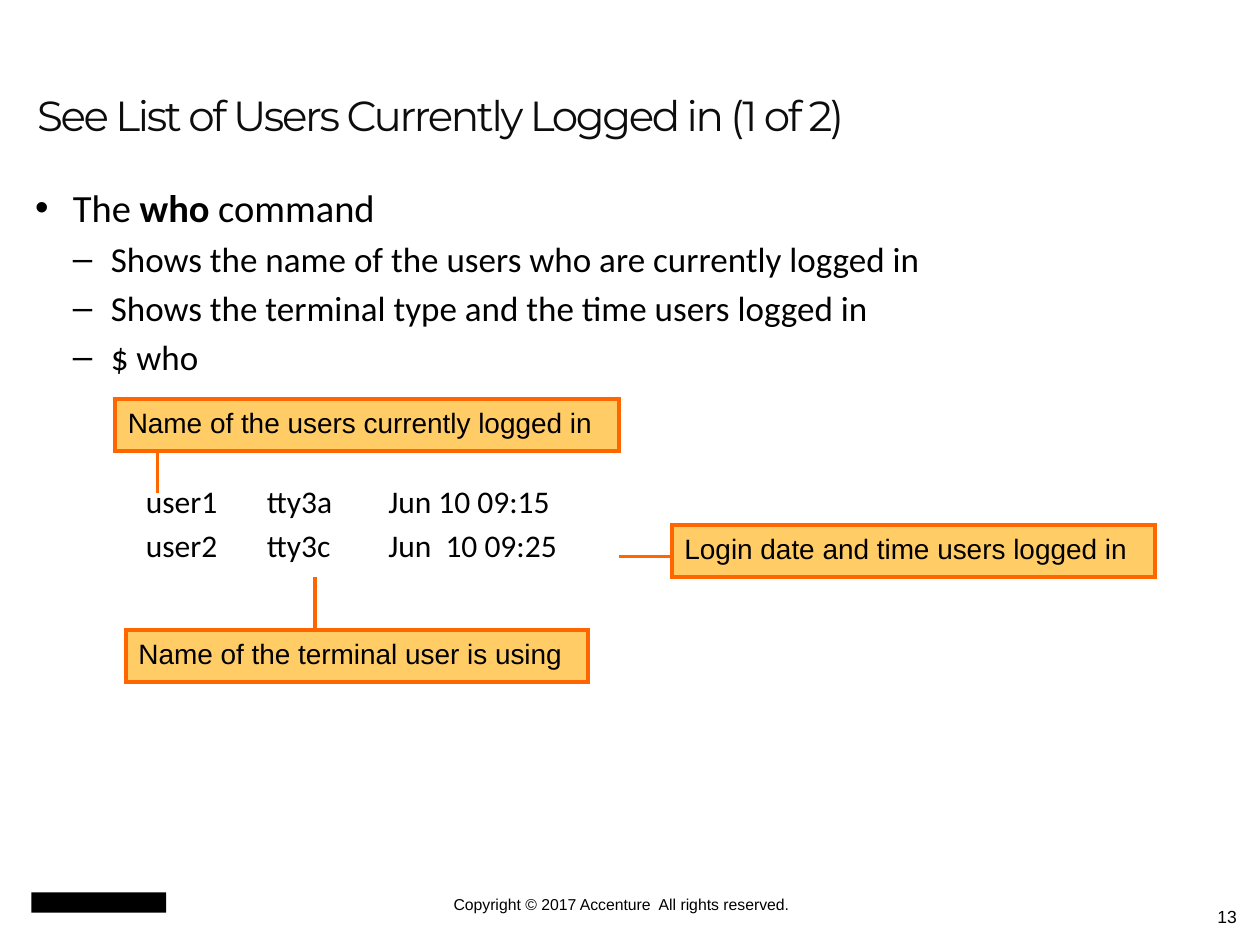
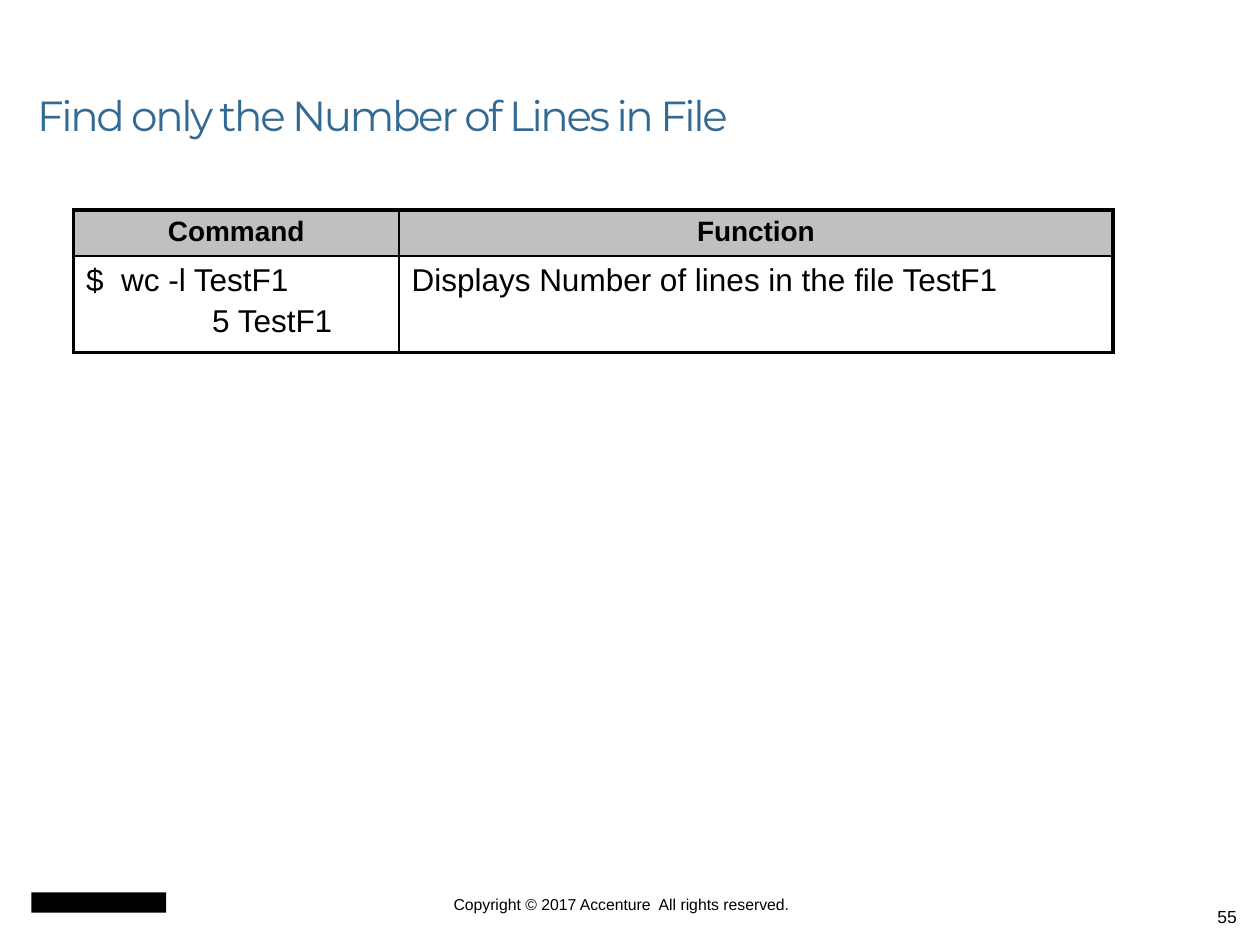
from lxml import etree
from pptx import Presentation
from pptx.dml.color import RGBColor
from pptx.enum.shapes import MSO_CONNECTOR, MSO_SHAPE
from pptx.enum.text import MSO_ANCHOR, MSO_AUTO_SIZE, PP_ALIGN
from pptx.oxml.ns import qn
from pptx.util import Pt

LEFT, CENTER, RIGHT = PP_ALIGN.LEFT, PP_ALIGN.CENTER, PP_ALIGN.RIGHT
TOP, BOTTOM = MSO_ANCHOR.TOP, MSO_ANCHOR.BOTTOM
NO_FIT = MSO_AUTO_SIZE.NONE
RECT = MSO_SHAPE.RECTANGLE
STRAIGHT = MSO_CONNECTOR.STRAIGHT

TITLE_ONLY = 5
BLACK, GREY = "000000", "C0C0C0"
TITLE_DARK, TITLE_BLUE = "0D0D0D", "326A94"
ORANGE, AMBER = "FF6600", "FFCC66"
THICK, THIN = 2.25, 1


# Shared helpers
def color(hex_code):
    return RGBColor.from_string(hex_code)


def points(*values):
    return [Pt(value) for value in values]


def set_font(para, size, name="Arial", hex_code=BLACK, bold=False):
    font = para.font
    font.size, font.name, font.bold = Pt(size), name, bold
    font.color.rgb = color(hex_code)


def add_bullet(para, symbol, indent, hanging):
    props = para._p.get_or_add_pPr()
    props.set("marL", str(Pt(indent)))
    props.set("indent", str(-Pt(hanging)))
    tint = etree.SubElement(props, qn("a:buClr"))
    etree.SubElement(tint, qn("a:srgbClr"), val=BLACK)
    etree.SubElement(props, qn("a:buFont"), typeface="Arial")
    etree.SubElement(props, qn("a:buChar"), char=symbol)


def add_tabs(para, *stops):
    tabs = etree.SubElement(para._p.get_or_add_pPr(), qn("a:tabLst"))
    for stop in stops:
        etree.SubElement(tabs, qn("a:tab"), pos=str(Pt(stop)), algn="l")


def add_paras(frame, count):
    for _ in range(count - 1):
        frame.add_paragraph()
    return frame.paragraphs


def add_text_box(page, box):
    frame = page.shapes.add_textbox(*points(*box)).text_frame
    frame.word_wrap = True
    return frame


def add_rectangle(page, box, hex_code):
    rectangle = page.shapes.add_shape(RECT, *points(*box))
    rectangle.shadow.inherit = False
    rectangle.fill.solid()
    rectangle.fill.fore_color.rgb = color(hex_code)
    return rectangle


# Title and footer, the same on every slide
def add_title(page, box, text, hex_code):
    title = page.shapes.title
    title.left, title.top, title.width, title.height = points(*box)
    frame = title.text_frame
    frame.auto_size, frame.vertical_anchor = NO_FIT, BOTTOM
    para = frame.paragraphs[0]
    para.text = text
    para.alignment, para.line_spacing = LEFT, 0.9
    set_font(para, 24, "Montserrat", hex_code)
    para.runs[0]._r.get_or_add_rPr().set("spc", "-133")


def add_footer(page, box, number):
    left, top, width, height = box
    mark = add_rectangle(page, (left + 18, top + 10, 77, 11.5), BLACK)
    mark.line.fill.background()

    frame = add_text_box(page, (left + 198, top + 11.5, 314, 11))
    frame.margin_left = frame.margin_top = 0
    frame.margin_right = frame.margin_bottom = 0
    notice = frame.paragraphs[0]
    notice.text = "Copyright © 2017 Accenture  All rights reserved."
    notice.alignment = CENTER
    set_font(notice, 9)

    frame = add_text_box(page,
                         (left + width - 174.2, top + 14.4, 168, height - 14.4))
    page_number = frame.paragraphs[0]
    page_number.text = str(number)
    page_number.alignment = RIGHT
    set_font(page_number, 10)


def add_page(deck, title, hex_code, number):
    page = deck.slides.add_slide(deck.slide_layouts[TITLE_ONLY])
    add_title(page, (14, 12.2, 642, 72), title, hex_code)
    add_footer(page, (0, 500, 720, 40), number)
    return page


# Slide with the who command
def add_command_bullets(page, box):
    details_shown = [
        "Shows the name of the users who are currently logged in",
        "Shows the terminal type and the time users logged in",
        "$ who",
    ]
    frame = add_text_box(page, box)
    heading, *details = add_paras(frame, 1 + len(details_shown))
    add_bullet(heading, "•", 21.6, 21.6)
    set_font(heading, 22, "Calibri")
    for text, bold in (("The ", False), ("who", True), (" command", False)):
        span = heading.add_run()
        span.text, span.font.bold = text, bold
    for para, text in zip(details, details_shown):
        para.text = text
        para.space_before = Pt(4)
        add_bullet(para, "–", 43.2, 21.6)
        set_font(para, 20, "Calibri")


def add_who_output(page, box):
    rows = ["user1\ttty3a\tJun 10 09:15", "user2\ttty3c\tJun  10 09:25"]
    frame = add_text_box(page, box)
    for index, para in enumerate(add_paras(frame, len(rows))):
        para.text = rows[index]
        if index:
            para.space_before = Pt(3.6)
        add_tabs(para, 69.2, 138.5)
        set_font(para, 18, "Calibri")


def add_callout(page, box, text, start, end):
    """Draw a label box; the pointer runs between offsets from its corner."""
    left, top = box[:2]
    label = add_rectangle(page, box, AMBER)
    frame = label.text_frame
    frame.word_wrap = True
    frame.vertical_anchor = TOP
    para = frame.paragraphs[0]
    para.text = text
    para.alignment = LEFT
    set_font(para, 16)

    pointer = page.shapes.add_connector(
        STRAIGHT,
        *points(left + start[0], top + start[1], left + end[0], top + end[1]))
    for outline in (label.line, pointer.line):
        outline.color.rgb = color(ORANGE)
        outline.width = Pt(THICK)
    # Square corners on the label, no shadow on the pointer
    etree.SubElement(label.line._get_or_add_ln(), qn("a:miter"), lim="800000")
    etree.SubElement(pointer._element.spPr, qn("a:effectLst"))


def build_who_slide(deck):
    page = add_page(deck, "See List of Users Currently Logged in (1 of 2)",
                    TITLE_DARK, 13)
    add_command_bullets(page, (13, 101.9, 671, 122))
    add_who_output(page, (76.3, 272.1, 280, 56))
    add_callout(page, (66, 228, 288, 30),
                "Name of the users currently logged in", (24, 30), (24, 54))
    add_callout(page, (72, 360, 264, 30),
                "Name of the terminal user is using", (108, -30), (108, 0))
    add_callout(page, (384, 300, 276, 30),
                "Login date and time users logged in", (0, 18), (-30, 18))


# Slide with the line count table
def set_borders(cell, **widths):
    props = cell._tc.get_or_add_tcPr()
    for index, side in enumerate(("L", "R", "T", "B")):
        line = etree.Element(qn("a:ln" + side), w=str(Pt(widths[side])))
        fill = etree.SubElement(line, qn("a:solidFill"))
        etree.SubElement(fill, qn("a:srgbClr"), val=BLACK)
        props.insert(index, line)


def add_command_table(page, box, column_widths, row_heights):
    rows = [
        ["Command", "Function"],
        ["$  wc -l TestF1\n\t5 TestF1",
         "Displays Number of lines in the file TestF1"],
    ]
    last_row, last_column = len(rows) - 1, len(rows[0]) - 1
    table = page.shapes.add_table(len(rows), len(rows[0]), *points(*box)).table
    table.first_row = table.horz_banding = False
    for column, width in zip(table.columns, column_widths):
        column.width = Pt(width)
    for row, height in zip(table.rows, row_heights):
        row.height = Pt(height)

    for r, texts in enumerate(rows):
        is_header = r == 0
        for c, text in enumerate(texts):
            cell = table.cell(r, c)
            if is_header:
                cell.fill.solid()
                cell.fill.fore_color.rgb = color(GREY)
            else:
                cell.fill.background()
            cell.text_frame.text = text
            for index, para in enumerate(cell.text_frame.paragraphs):
                para.alignment = CENTER if is_header else LEFT
                if index:
                    para.space_before = Pt(3.6)
                    add_tabs(para, 72)
                set_font(para, 16 if is_header else 18, bold=is_header)
            set_borders(cell,
                        L=THICK if c == 0 else THIN,
                        R=THICK if c == last_column else THIN,
                        T=THICK if r == 0 else THIN,
                        B=THICK if r == last_row else THIN)


def build_line_count_slide(deck):
    page = add_page(deck, "Find only the Number of Lines in File",
                    TITLE_BLUE, 55)
    add_command_table(page, (42, 120, 594, 81), (186, 408), (25.9, 55.1))


def main():
    deck = Presentation()
    deck.slide_width, deck.slide_height = points(720, 540)
    build_who_slide(deck)
    build_line_count_slide(deck)
    deck.save("out.pptx")


if __name__ == "__main__":
    main()
